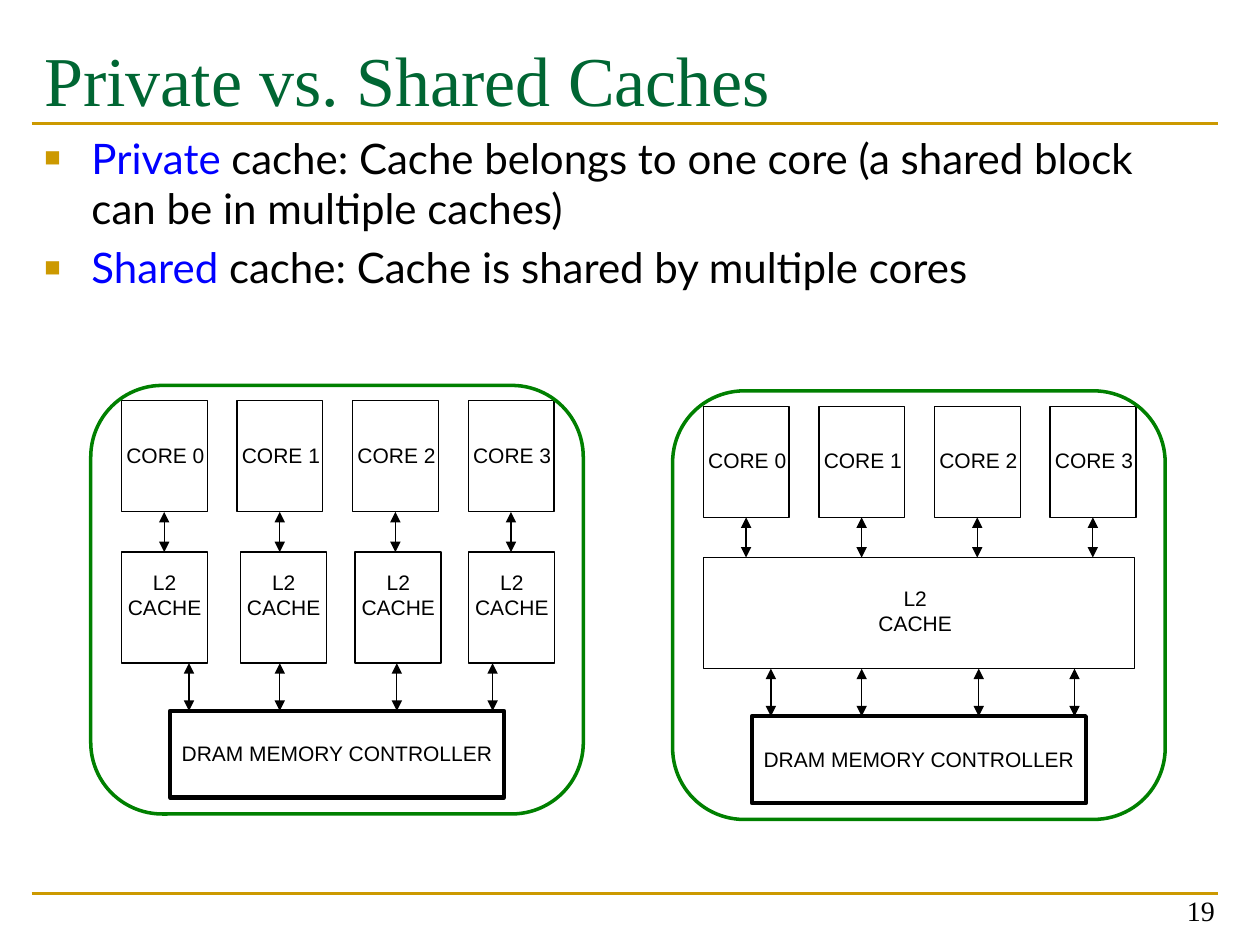
from dataclasses import dataclass

from lxml.etree import SubElement
from pptx import Presentation
from pptx.dml.color import RGBColor
from pptx.enum.shapes import MSO_CONNECTOR, MSO_SHAPE
from pptx.enum.text import MSO_ANCHOR, MSO_AUTO_SIZE, PP_ALIGN
from pptx.oxml.ns import qn
from pptx.util import Cm, Pt


@dataclass
class Theme:
    gold: str = "CC9900"
    green: str = "006633"
    frame: str = "008000"
    blue: str = "0000FF"
    black: str = "000000"
    head: int = 40
    body: int = 24
    page: int = 16
    note: int = 12
    serif: str = "Times New Roman"
    sans: str = "Lato"
    plain: str = "Arial"


theme = Theme()
deck = Presentation()
deck.slide_width, deck.slide_height = Cm(25.4), Cm(19.05)
slide = deck.slides.add_slide(deck.slide_layouts[1])
shapes = slide.shapes


def style(run, size, face, color):
    run.font.size = Pt(size)
    run.font.name = face
    run.font.color.rgb = RGBColor.from_string(color)


def label(text, x, y, w, h, size=theme.note, face=theme.plain, align=PP_ALIGN.CENTER):
    frame = shapes.add_textbox(Cm(x), Cm(y), Cm(w), Cm(h)).text_frame
    frame.text = text
    frame.word_wrap = False
    frame.vertical_anchor = MSO_ANCHOR.BOTTOM
    for para in frame.paragraphs:
        para.alignment = align
        style(para.runs[0], size, face, theme.black)


title = shapes.title
title.left, title.top, title.width, title.height = Cm(0.64), Cm(0.43), Cm(23.93), Cm(2.97)
frame = title.text_frame
frame.text = "Private vs. Shared Caches"
frame.auto_size = MSO_AUTO_SIZE.NONE
frame.vertical_anchor = MSO_ANCHOR.TOP
frame.margin_top = Cm(0.3)
frame.paragraphs[0].alignment = PP_ALIGN.LEFT
style(frame.paragraphs[0].runs[0], theme.head, theme.serif, theme.green)

body = slide.placeholders[1]
body.left, body.top, body.width, body.height = Cm(0.64), Cm(2.54), Cm(23.93), Cm(14.66)
points = [
    ("Private", " cache: Cache belongs to one core (a shared block can be in multiple caches)"),
    ("Shared", " cache: Cache is shared by multiple cores"),
]
frame = body.text_frame
frame.text = "\n".join(term for term, rest in points)
frame.auto_size = MSO_AUTO_SIZE.NONE
for para, (term, rest) in zip(frame.paragraphs, points):
    para.space_before = Pt(5)
    style(para.runs[0], theme.body, theme.sans, theme.blue)
    tail = para.add_run()
    tail.text = rest
    style(tail, theme.body, theme.sans, theme.black)
    props = para._p.get_or_add_pPr()
    props.set("marL", str(Cm(0.95)))
    props.set("indent", str(-Cm(0.95)))
    SubElement(SubElement(props, qn("a:buClr")), qn("a:srgbClr"), val=theme.gold)
    SubElement(props, qn("a:buSzPct"), val="65000")
    SubElement(props, qn("a:buFont"), typeface=theme.plain)
    SubElement(props, qn("a:buChar"), char="■")

label("19", 18.82, 17.55, 5.92, 1.27, theme.page, theme.serif, PP_ALIGN.RIGHT)

boxes = []
lines = [(0.64, y, 24.56, y, theme.gold, 1.5) for y in (2.49, 18.01)]
for dx, dy, shared in ((0, 0, False), (11.73, 0.11, True)):
    top, mid, low = 8.08 + dy, 11.13 + dy, 14.33 + dy
    for i in range(4):
        x = 2.45 + dx + i * 2.33
        boxes.append((MSO_SHAPE.RECTANGLE, x, top, 1.73, 2.24, theme.black, 0.75))
        label(f"CORE {i}", x - 0.17, top + 0.71, 2.11, 0.76)
        lines.append((x + 0.86, top + 2.24, x + 0.86, mid, theme.black, 0.75))
    if shared:
        boxes.append((MSO_SHAPE.RECTANGLE, 2.45 + dx, mid, 8.69, 2.24, theme.black, 0.75))
        label("L2\nCACHE", 5.72 + dx, mid + 0.43, 2, 1.27)
    else:
        for x in (2.45, 4.85, 7.16, 9.45):
            boxes.append((MSO_SHAPE.RECTANGLE, x, mid, 1.73, 2.24, theme.black, 0.75))
            label("L2\nCACHE", x - 0.13, mid + 0.22, 2, 1.27)
    for x in (3.81, 5.64, 8, 9.93):
        lines.append((x + dx, mid + 2.24, x + dx, low, theme.black, 0.75))
    boxes.append((MSO_SHAPE.ROUNDED_RECTANGLE, 1.83 + dx, 7.77 + dy, 9.93, 8.64, theme.frame, 2))
    boxes.append((MSO_SHAPE.RECTANGLE, 3.43 + dx, low, 6.73, 1.75, theme.black, 2.5))
    label("DRAM MEMORY CONTROLLER", 3.38 + dx, low + 0.48, 6.83, 0.76)

for kind, x, y, w, h, color, width in boxes:
    box = shapes.add_shape(kind, Cm(x), Cm(y), Cm(w), Cm(h))
    box.shadow.inherit = False
    box.fill.background()
    box.line.color.rgb = RGBColor.from_string(color)
    box.line.width = Pt(width)

for x, y, right, end, color, width in lines:
    line = shapes.add_connector(MSO_CONNECTOR.STRAIGHT, Cm(x), Cm(y), Cm(right), Cm(end))
    line.line.color.rgb = RGBColor.from_string(color)
    line.line.width = Pt(width)
    if x == right:
        edge = line.line._get_or_add_ln()
        SubElement(edge, qn("a:headEnd"), type="triangle")
        SubElement(edge, qn("a:tailEnd"), type="triangle")
    SubElement(line._element.spPr, qn("a:effectLst"))

deck.save("out.pptx")
